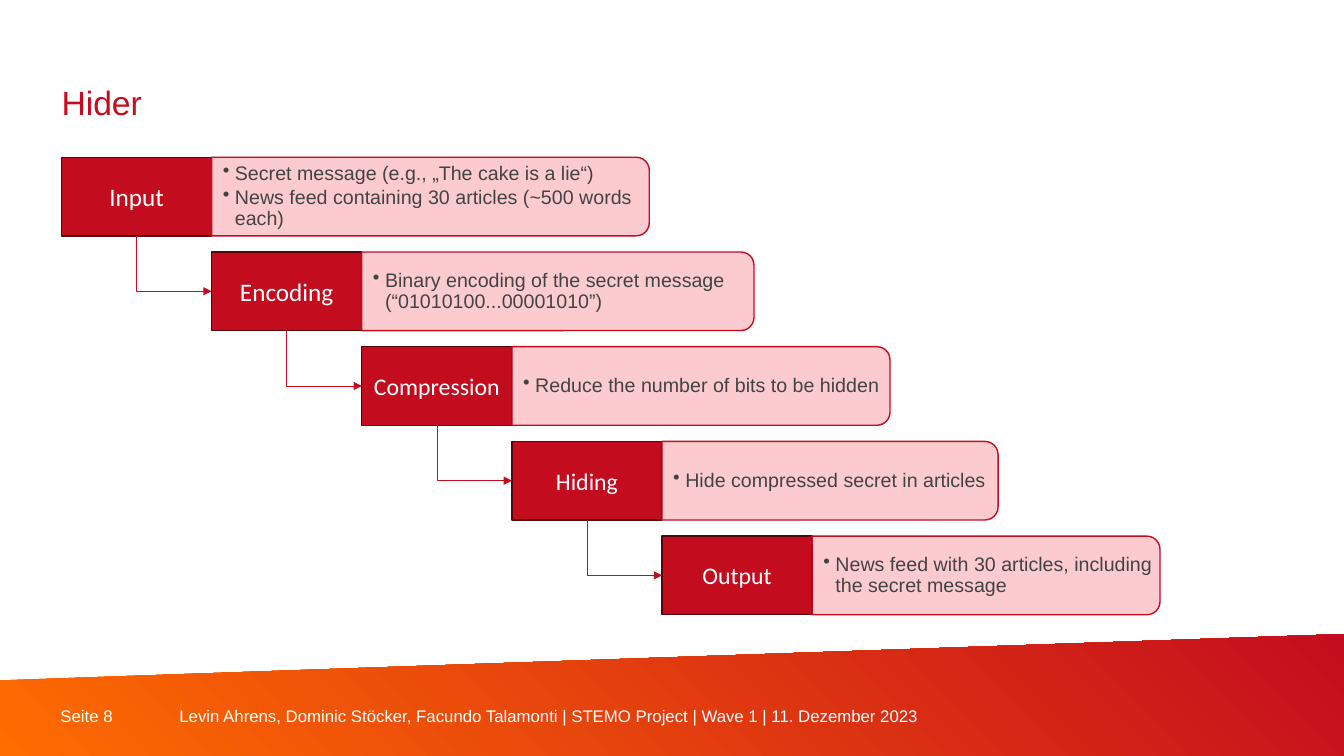
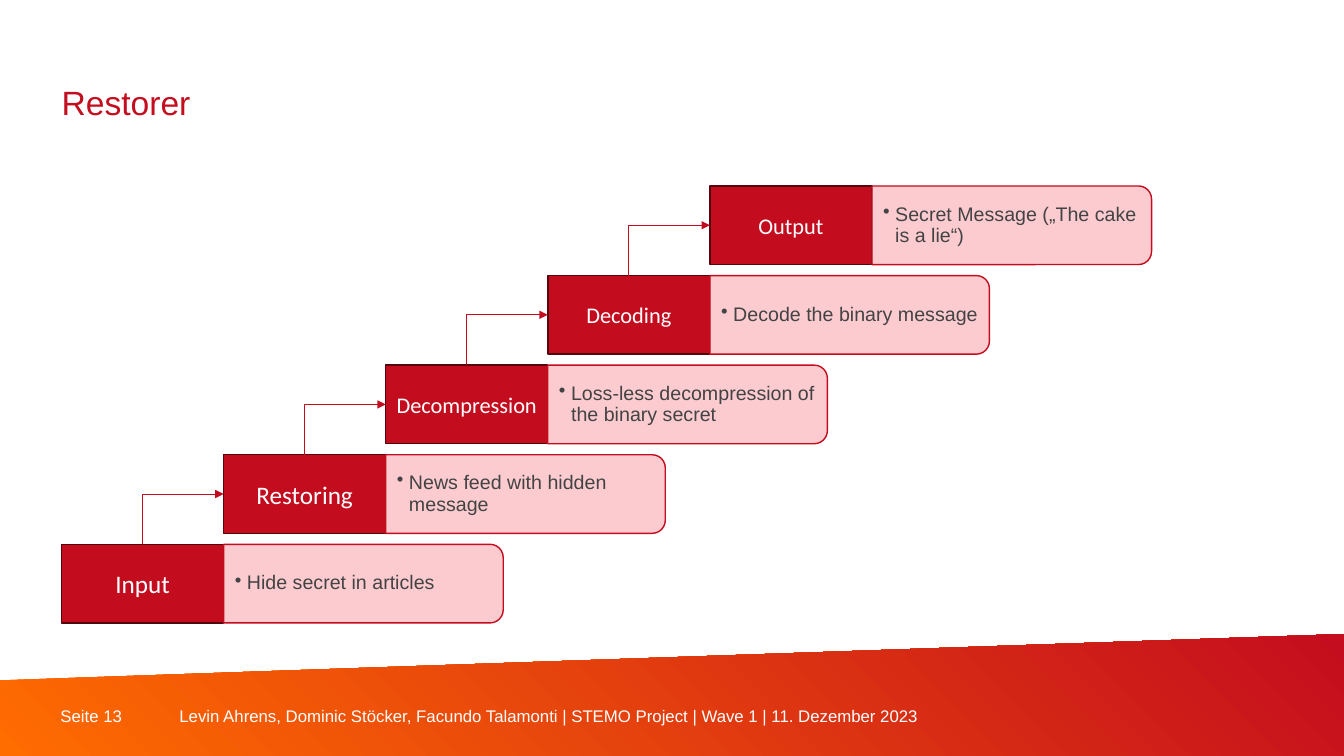
from dataclasses import dataclass

from lxml.etree import SubElement
from pptx import Presentation
from pptx.dml.color import RGBColor
from pptx.enum.shapes import MSO_CONNECTOR, MSO_SHAPE
from pptx.enum.text import MSO_ANCHOR, PP_ALIGN
from pptx.oxml.ns import qn
from pptx.util import Emu, Inches, Pt


@dataclass(frozen=True)
class Theme:
    """Colours, fonts and type sizes of the deck."""
    red: str = "C30D1E"
    title: str = "C40D1E"
    dark: str = "55060D"
    pink: str = "FBC6CB"
    ink: str = "434343"
    white: str = "FFFFFF"
    orange: str = "FF6C00"
    sans: str = "Arial"
    label: str = "Calibri"
    head: int = 24
    body: int = 14
    foot: int = 12


class Deck:
    """Draws on the current slide in a grid of 100 columns by 100 rows."""

    left = 4.58
    tall = 10.4

    def __init__(self, theme):
        """Open an empty wide deck."""
        self.theme = theme
        self.show = Presentation()
        self.show.slide_width = Inches(13.33)
        self.show.slide_height = Inches(7.5)

    def col(self, share):
        """Turn columns into a length."""
        return Emu(round(self.show.slide_width * share / 100))

    def row(self, share):
        """Turn rows into a length."""
        return Emu(round(self.show.slide_height * share / 100))

    def rect(self, x, y, w, h):
        """Turn grid places into left, top, width and height."""
        return self.col(x), self.row(y), self.col(w), self.row(h)

    def page(self, title, number, credit):
        """Start a slide with its title, band and footer."""
        t = self.theme
        slide = self.show.slides.add_slide(self.show.slide_layouts[6])
        self.shapes = slide.shapes
        self.band()
        for x, w, text in ((4.5, 8.85, f"Seite {number}"), (13.35, 62.5, credit)):
            frame = self.text(x, 93.33, w, 2.75)
            self.run(frame.paragraphs[0], text, t.foot, t.white)
        frame = self.text(self.left, 5.73, 68.2, self.tall, MSO_ANCHOR.BOTTOM)
        para = frame.paragraphs[0]
        para.line_spacing = Pt(28)
        self.run(para, title, t.head, t.title)

    def band(self):
        """Draw the slanted gradient band at the foot."""
        build = self.shapes.build_freeform(0, self.row(90))
        ends = ((100, 83.87), (100, 100), (0, 100))
        build.add_line_segments([(self.col(x), self.row(y)) for x, y in ends])
        band = build.convert_to_shape()
        band.shadow.inherit = False
        band.line.fill.background()
        band.fill.gradient()
        band.fill.gradient_angle = 45
        tints = (self.theme.orange, self.theme.title)
        for stop, tint in zip(band.fill.gradient_stops, tints):
            stop.color.rgb = RGBColor.from_string(tint)

    def text(self, x, y, w, h, anchor=MSO_ANCHOR.MIDDLE, pads=(0, 0, 0, 0)):
        """Add a wrapping text box and return its frame."""
        frame = self.shapes.add_textbox(*self.rect(x, y, w, h)).text_frame
        frame.word_wrap = True
        frame.vertical_anchor = anchor
        (frame.margin_left, frame.margin_top,
         frame.margin_right, frame.margin_bottom) = map(self.col, pads)
        return frame

    def run(self, para, text, size, tint, font=None):
        """Add one styled run."""
        run = para.add_run()
        run.text = text
        run.font.size = Pt(size)
        run.font.name = font or self.theme.sans
        run.font.color.rgb = RGBColor.from_string(tint)

    def paint(self, shape, fill, edge):
        """Give a shape a flat fill and a thin edge."""
        shape.shadow.inherit = False
        shape.fill.solid()
        shape.fill.fore_color.rgb = RGBColor.from_string(fill)
        shape.line.color.rgb = RGBColor.from_string(edge)
        shape.line.width = Pt(1)

    def label(self, x, y, w, name, size):
        """Draw the named box of a step."""
        t = self.theme
        box = self.shapes.add_shape(
            MSO_SHAPE.RECTANGLE, *self.rect(x, y, w, self.tall))
        self.paint(box, t.red, t.dark)
        box.text_frame.vertical_anchor = MSO_ANCHOR.MIDDLE
        para = box.text_frame.paragraphs[0]
        para.alignment = PP_ALIGN.CENTER
        self.run(para, name, size, t.white, t.label)
        return box

    def link(self, start, end):
        """Join two boxes with a bent arrow, out of the side that faces the next."""
        down = end.top > start.top
        link = self.shapes.add_connector(MSO_CONNECTOR.ELBOW, 0, 0, 0, 0)
        link.begin_connect(start, 2 if down else 0)
        link.end_connect(end, 1)
        wide, high = link.width, link.height
        shift = (wide - high) // 2
        link.left, link.top = link.left + shift, link.top - shift
        link.width, link.height = high, wide
        props = link._element.spPr
        turn = props.find(qn("a:xfrm"))
        turn.set("rot", str((270 if down else 90) * 60000))
        turn.set("flipH", "1")
        turn.set("flipV", "0" if down else "1")
        props.find(qn("a:prstGeom")).set("prst", "bentConnector2")
        link.line.color.rgb = RGBColor.from_string(self.theme.red)
        link.line.width = Pt(0.5)
        SubElement(props.find(qn("a:ln")), qn("a:tailEnd"), type="triangle")
        SubElement(props, qn("a:effectLst"))

    def bar(self, x, y, w, items):
        """Draw a bar with round right corners and its bullets."""
        t = self.theme
        left, top, wide, high = self.rect(x, y, w, self.tall)
        shift = (wide - high) // 2
        bar = self.shapes.add_shape(
            MSO_SHAPE.ROUND_2_SAME_RECTANGLE, left + shift, top - shift, high, wide)
        bar.rotation = 90
        self.paint(bar, t.pink, t.red)
        tint = bar._element.spPr.find(qn("a:solidFill"))[0]
        SubElement(tint, qn("a:alpha"), val="90000")
        frame = self.text(x, y, w - 0.1, self.tall, pads=(0.83, 0.08, 0.08, 0.08))
        for i, item in enumerate(items):
            para = frame.add_paragraph() if i else frame.paragraphs[0]
            para.line_spacing = 0.9
            para.space_after = Pt(2.1)
            props = para._p.get_or_add_pPr()
            dent = Inches(0.12)
            props.set("marL", str(dent))
            props.set("indent", str(-dent))
            SubElement(props, qn("a:buChar"), char="•")
            self.run(para, item, t.body, t.ink)

    def stairs(self, top, wide, rise, steps):
        """Draw a staircase of linked steps."""
        spots = [(self.left + i * wide, top + i * rise) for i in range(len(steps))]
        boxes = [self.label(x, y, wide, name, size)
                 for (x, y), (name, size, _, _) in zip(spots, steps)]
        for start, end in zip(boxes, boxes[1:]):
            self.link(start, end)
        for (x, y), (_, _, span, items) in zip(spots, steps):
            self.bar(x + wide, y, span, items)


CREDIT = ("Levin Ahrens, Dominic Stöcker, Facundo Talamonti | "
          "STEMO Project | Wave 1 | 11. Dezember 2023")

HIDE = (
    ("Input", 18, 32.56, ("Secret message (e.g., „The cake is a lie“)",
                          "News feed containing 30 articles (~500 words each)")),
    ("Encoding", 18, 29.18, ("Binary encoding of the secret message "
                             "(“01010100...00001010”)",)),
    ("Compression", 17, 28.13, ("Reduce the number of bits to be hidden",)),
    ("Hiding", 17, 25, ("Hide compressed secret in articles",)),
    ("Output", 17, 25.88, ("News feed with 30 articles, "
                           "including the secret message",)),
)

SPAN = 20.8
BACK = (
    ("Input", 18, SPAN, ("Hide secret in articles",)),
    ("Restoring", 18, SPAN, ("News feed with hidden message",)),
    ("Decompression", 16, SPAN, ("Loss-less decompression of the binary secret",)),
    ("Decoding", 16, SPAN, ("Decode the binary message",)),
    ("Output", 16, SPAN, ("Secret Message („The cake is a lie“)",)),
)


def main():
    """Build and save both slides."""
    deck = Deck(Theme())
    deck.page("Hider", 8, CREDIT)
    deck.stairs(20.8, 11.17, 12.53, HIDE)
    deck.page("Restorer", 13, CREDIT)
    deck.stairs(72, 12.06, -11.85, BACK)
    deck.show.save("out.pptx")


if __name__ == "__main__":
    main()
